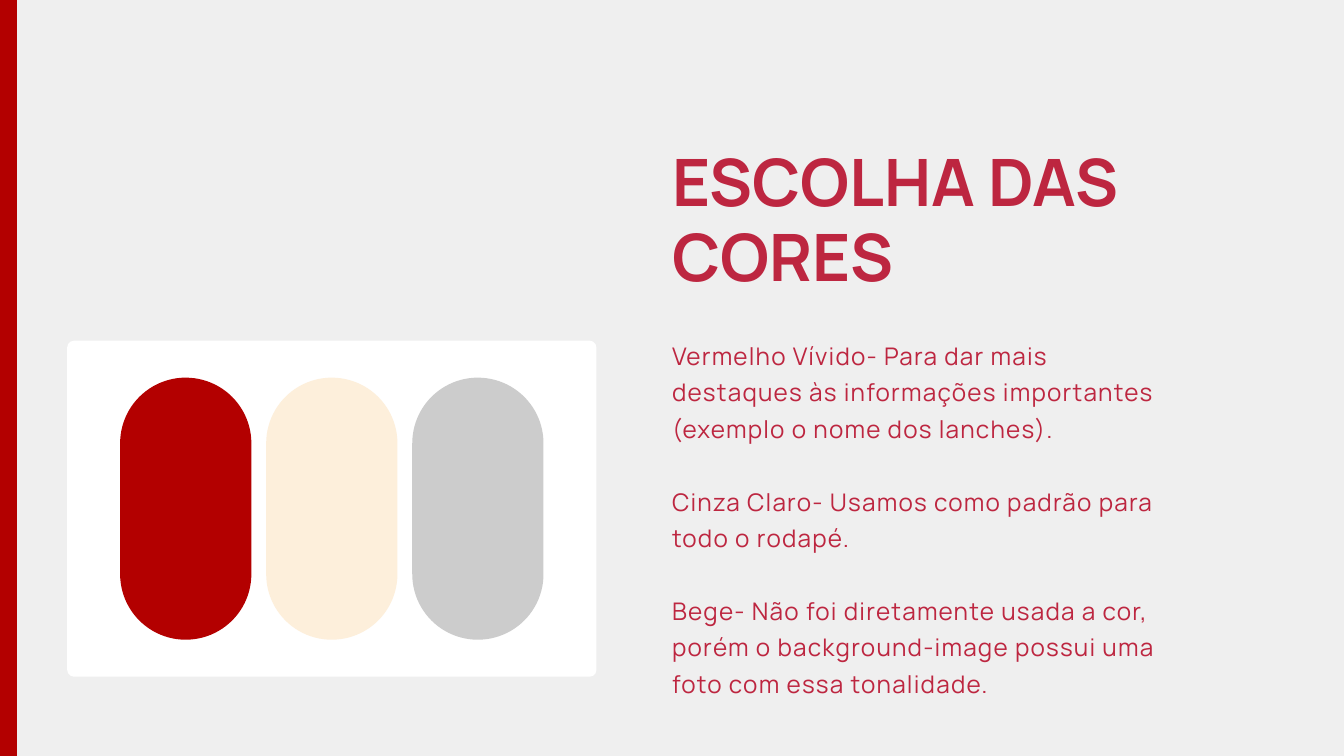
from dataclasses import dataclass

from pptx import Presentation
from pptx.dml.color import RGBColor
from pptx.enum.shapes import MSO_SHAPE
from pptx.util import Inches, Pt


@dataclass(frozen=True)
class Theme:
    """Colours, font and type sizes in points."""
    back: str = "EFEFEF"
    card: str = "FFFFFF"
    red: str = "B30000"
    beige: str = "FDEFDB"
    grey: str = "CCCCCC"
    ink: str = "BD2640"
    font: str = "Manrope"
    head: float = 70
    head_line: float = 80.5
    body: float = 26
    body_line: float = 39
    track: float = 1.3


@dataclass(frozen=True)
class Box:
    """A region in columns and rows of the slide grid."""
    x: float
    y: float
    w: float
    h: float

    def inner(self, x, y, w, h):
        """Return the region at the given shares of this one."""
        return Box(self.x + x * self.w, self.y + y * self.h, w * self.w, h * self.h)

    def place(self):
        """Return left, top, width and height as lengths."""
        return [Inches(n * UNIT) for n in (self.x, self.y, self.w, self.h)]


THEME = Theme()
UNIT = 0.25
COLS, ROWS = 80, 45
TITLE = "ESCOLHA DAS CORES"
NOTES = [
    "Vermelho Vívido- Para dar mais destaques às informações importantes "
    "(exemplo o nome dos lanches).",
    "Cinza Claro- Usamos como padrão para todo o rodapé.",
    "Bege- Não foi diretamente usada a cor, porém o background-image possui "
    "uma foto com essa tonalidade.",
]


def add_block(slide, box, color, curve=0):
    """Draw a plain block, its corners rounded by a share of its short side."""
    kind = MSO_SHAPE.ROUNDED_RECTANGLE if curve else MSO_SHAPE.RECTANGLE
    block = slide.shapes.add_shape(kind, *box.place())
    if curve:
        block.adjustments[0] = curve
    block.shadow.inherit = False
    block.fill.solid()
    block.fill.fore_color.rgb = RGBColor.from_string(color)
    block.line.fill.background()


def add_text(slide, box, lines, size, pitch, bold=False, track=0, gap=0):
    """Write paragraphs with a fixed line pitch and a gap between them."""
    frame = slide.shapes.add_textbox(*box.place()).text_frame
    frame.word_wrap = True
    frame.margin_left = frame.margin_right = 0
    frame.margin_top = frame.margin_bottom = 0
    for i, line in enumerate(lines):
        para = frame.paragraphs[0] if i == 0 else frame.add_paragraph()
        run = para.add_run()
        run.text = line
        if track:
            run._r.get_or_add_rPr().set("spc", str(round(track * 100)))
        para.line_spacing = Pt(pitch)
        para.space_before = Pt(gap if i else 0)
        font = para.font
        font.name, font.size, font.bold = THEME.font, Pt(size), bold
        font.color.rgb = RGBColor.from_string(THEME.ink)


def add_swatches(slide, box):
    """Draw the white card and its row of equal colour pills."""
    add_block(slide, box, THEME.card, 0.02)
    row = box.inner(0.1, 0.11, 0.8, 0.78)
    colors = [THEME.red, THEME.beige, THEME.grey]
    wide = 0.31
    step = (1 - wide) / (len(colors) - 1)
    for i, color in enumerate(colors):
        add_block(slide, row.inner(i * step, 0, wide, 1), color, 0.5)


def add_title(slide, box):
    """Write the slide title."""
    add_text(slide, box, [TITLE], THEME.head, THEME.head_line, bold=True)


def add_notes(slide, box):
    """Write the reason for each colour, one blank line apart."""
    add_text(slide, box, NOTES, THEME.body, THEME.body_line,
             track=THEME.track, gap=THEME.body_line)


def main():
    """Build and save the slide."""
    deck = Presentation()
    deck.slide_width = Inches(COLS * UNIT)
    deck.slide_height = Inches(ROWS * UNIT)
    slide = deck.slides.add_slide(deck.slide_layouts[6])
    slide.background.fill.solid()
    slide.background.fill.fore_color.rgb = RGBColor.from_string(THEME.back)
    add_swatches(slide, Box(4, 20.28, 31.5, 20))
    add_title(slide, Box(40, 8.6, 35, 9))
    add_notes(slide, Box(40, 19.88, 29.24, 21.6))
    add_block(slide, Box(0, 0, 1, ROWS), THEME.red)
    deck.save("out.pptx")


if __name__ == "__main__":
    main()
